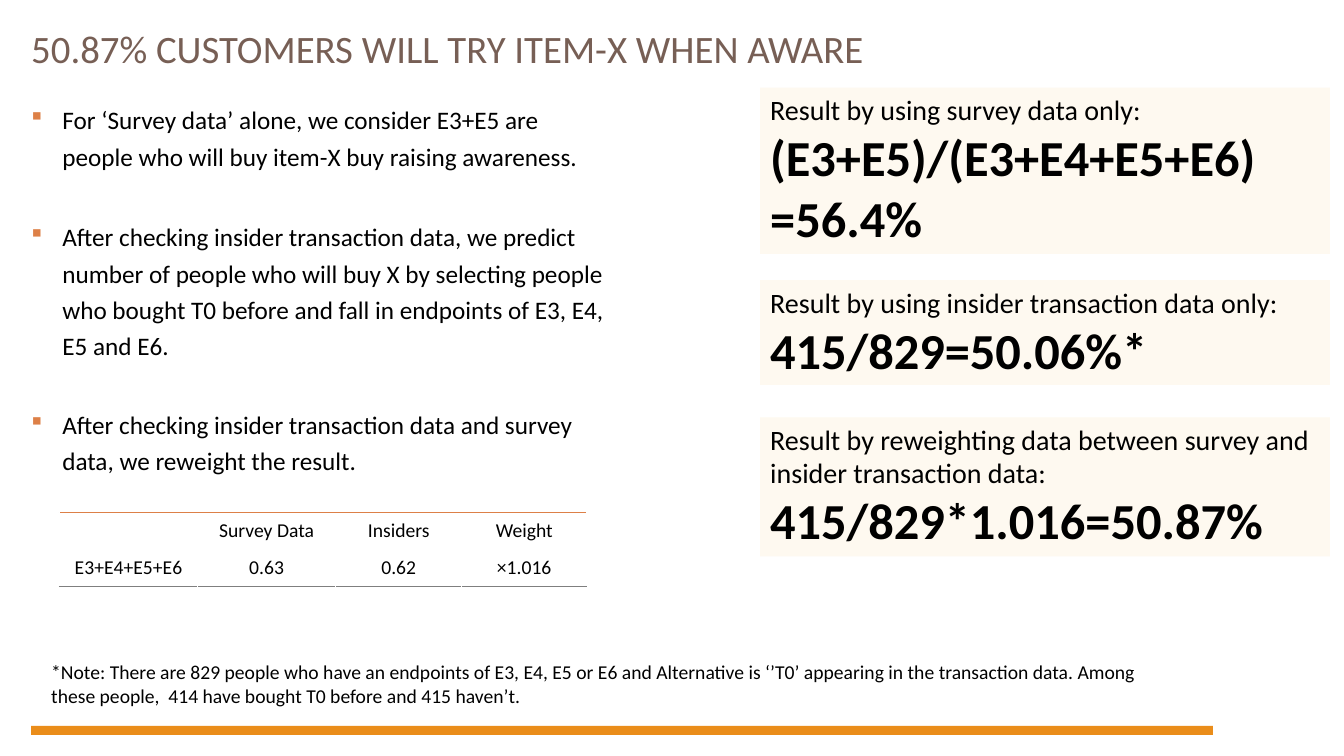
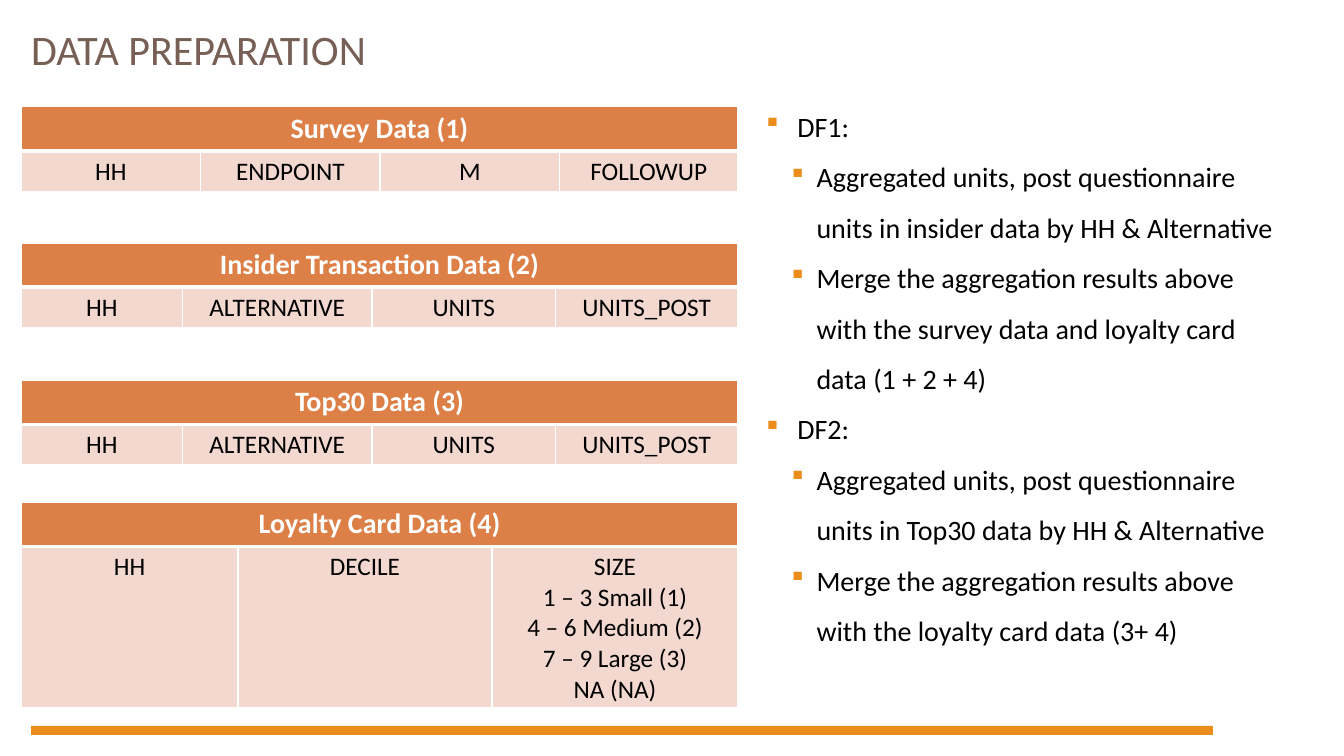
from itertools import accumulate

from lxml.etree import SubElement
from pptx import Presentation
from pptx.dml.color import RGBColor
from pptx.enum.shapes import MSO_SHAPE
from pptx.enum.text import MSO_ANCHOR, MSO_AUTO_SIZE, PP_ALIGN
from pptx.oxml.ns import qn
from pptx.util import Emu, Pt

EMU_PER_PX = 9144  # 100 px to the inch
FONT = "Calibri"
COLORS = {
    "text": "000000", "title": "775F55", "band": "EA8D1A", "accent": "DD8047",
    "pale": "F2D8CF", "cream": "FEF3DD", "white": "FFFFFF", "rule": "7F7F7F",
}

# Slide 1: text, top, height
POINTS = [
    ("For ‘Survey data’ alone, we consider E3+E5 are people who will buy item-X "
     "buy raising awareness.", 93, 83),
    ("After checking insider transaction data, we predict number of people who will "
     "buy X by selecting people who bought T0 before and fall in endpoints of "
     "E3, E4, E5 and E6.", 209, 153),
    ("After checking insider transaction data and survey data, we reweight the result.",
     395, 83),
]
# caption, formula lines, top, height
RESULTS = [
    ("Result by using survey data only:",
     ["(E3+E5)/(E3+E4+E5+E6)", "=56.4%"], 87, 165),
    ("Result by using insider transaction data only:", ["415/829=50.06%*"], 278, 104),
    ("Result by reweighting data between survey and insider transaction data:",
     ["415/829*1.016=50.87%"], 414, 138),
]
WEIGHT_HEADINGS = ["Survey Data", "Insiders", "Weight"]
WEIGHT_VALUES = ["E3+E4+E5+E6", "0.63", "0.62", "×1.016"]
WEIGHT_COLS = [137, 137, 125, 124]
WEIGHT_MARGIN = 7
NOTE = ("*Note: There are 829 people who have an endpoints of E3, E4, E5 or E6 and "
        "Alternative is ‘’T0’ appearing in the transaction data. Among these people,  "
        "414 have bought T0 before and 415 haven’t.")

# Slide 2: heading, fields (lines of each), column widths, top, field row height
TRANSACTION_FIELDS = [["HH"], ["ALTERNATIVE"], ["UNITS"], ["UNITS_POST"]]
TRANSACTION_COLS = [160, 188, 182, 181]
DATA_SETS = [
    ("Survey Data (1)", [["HH"], ["ENDPOINT"], ["M"], ["FOLLOWUP"]],
     [178, 178, 178, 177], 106, 40),
    ("Insider Transaction Data (2)", TRANSACTION_FIELDS, TRANSACTION_COLS, 241, 40),
    ("Top30 Data (3)", TRANSACTION_FIELDS, TRANSACTION_COLS, 377, 40),
    ("Loyalty Card Data (4)",
     [["HH"], ["DECILE"],
      ["SIZE", "1 – 3 Small (1)", "4 – 6 Medium (2)", "7 – 9 Large (3)", "NA (NA)"]],
     [215, 252, 244], 498, 160),
]
HEADING_H = 43
# level, text
STEPS = [
    (0, "DF1:"),
    (1, "Aggregated units, post questionnaire units in insider data by HH & Alternative"),
    (1, "Merge the aggregation results above with the survey data and loyalty card "
        "data (1 + 2 + 4)"),
    (0, "DF2:"),
    (1, "Aggregated units, post questionnaire units in Top30 data by HH & Alternative"),
    (1, "Merge the aggregation results above with the loyalty card data (3+ 4)"),
]
BULLET_INDENTS = [(31, -31), (50, -25)]  # margin and first line, by level


def px(n):
    return Emu(int(n * EMU_PER_PX))


def rgb(name):
    return RGBColor.from_string(COLORS[name])


def fill_shape(shape, color):
    shape.shadow.inherit = False
    shape.fill.solid()
    shape.fill.fore_color.rgb = rgb(color)
    shape.line.fill.background()


def add_run(p, text, size, color="text", bold=False):
    r = p.add_run()
    r.text = text
    r.font.name, r.font.size, r.font.bold = FONT, Pt(size), bold
    r.font.color.rgb = rgb(color)


def next_paragraph(tf, first):
    return tf.paragraphs[0] if first else tf.add_paragraph()


def add_box(s, *box):
    tf = s.shapes.add_textbox(*map(px, box)).text_frame
    tf.word_wrap = True
    return tf


def set_bullet(p, color, spacing, level=0):
    """Give the paragraph a small square, which is § in Wingdings."""
    p.level = level
    p.line_spacing = spacing
    pPr = p._p.get_or_add_pPr()
    margin, indent = BULLET_INDENTS[level]
    pPr.set("marL", str(px(margin)))
    pPr.set("indent", str(px(indent)))
    clr = SubElement(pPr, qn("a:buClr"))
    SubElement(clr, qn("a:srgbClr"), val=COLORS[color])
    SubElement(pPr, qn("a:buFont"), typeface="Wingdings", charset="2")
    SubElement(pPr, qn("a:buChar"), char="§")


def set_centre_tabs(p, stops):
    tabs = SubElement(p._p.get_or_add_pPr(), qn("a:tabLst"))
    for stop in stops:
        SubElement(tabs, qn("a:tab"), pos=str(px(stop)), algn="ctr")


def set_borders(cell, **sides):
    """Give sides as L, R, T or B = (color, points), in that schema order."""
    tcPr = cell._tc.get_or_add_tcPr()
    for i, (side, (color, points)) in enumerate(sides.items()):
        ln = tcPr.makeelement(qn(f"a:ln{side}"), {"w": str(Pt(points))})
        tcPr.insert(i, ln)
        fill = SubElement(ln, qn("a:solidFill"))
        SubElement(fill, qn("a:srgbClr"), val=COLORS[color])


def add_grid(s, left, top, cols, rows):
    table = s.shapes.add_table(len(rows), len(cols), px(left), px(top),
                               px(sum(cols)), px(sum(rows))).table
    table.horz_banding = False
    for col, width in zip(table.columns, cols):
        col.width = px(width)
    for row, height in zip(table.rows, rows):
        row.height = px(height)
    return table


def fill_cell(cell, lines, size, color="text", bold=False, fill=None):
    if fill:
        cell.fill.solid()
        cell.fill.fore_color.rgb = rgb(fill)
    else:
        cell.fill.background()
    for i, line in enumerate(lines):
        p = next_paragraph(cell.text_frame, i == 0)
        p.alignment = PP_ALIGN.CENTER
        add_run(p, line, size, color, bold)


def add_titled_slide(prs, title, size):
    s = prs.slides.add_slide(prs.slide_layouts[5])
    shape = s.shapes.title
    shape.left, shape.top, shape.width, shape.height = map(px, (21, 9, 873, 78))
    tf = shape.text_frame
    tf.auto_size = MSO_AUTO_SIZE.NONE
    tf.vertical_anchor = MSO_ANCHOR.MIDDLE
    tf.paragraphs[0].alignment = PP_ALIGN.LEFT
    add_run(tf.paragraphs[0], title, size, "title")
    return s


def put_band_on_layout(s):
    """Draw the bottom band once, on the layout that the slides share."""
    band = s.shapes.add_shape(MSO_SHAPE.RECTANGLE, *map(px, (31, 720, 1172, 9)))
    fill_shape(band, "band")
    s.slide_layout.shapes.element.append(band.element)


def add_result(s, caption, formula, top, height):
    box = s.shapes.add_shape(MSO_SHAPE.RECTANGLE, *map(px, (754, top, 565, height)))
    fill_shape(box, "cream")
    clr = box.element.spPr.find(qn("a:solidFill")).find(qn("a:srgbClr"))
    SubElement(clr, qn("a:alpha"), val="44000")
    tf = box.text_frame
    tf.word_wrap = True
    tf.vertical_anchor = MSO_ANCHOR.TOP
    for i, line in enumerate([caption, *formula]):
        p = next_paragraph(tf, i == 0)
        p.alignment = PP_ALIGN.LEFT
        add_run(p, line, 36 if i else 20, bold=i > 0)


def add_weights(s):
    table = add_grid(s, 59, 508, WEIGHT_COLS, [37, 37])
    for cell in table.iter_cells():
        cell.vertical_anchor = MSO_ANCHOR.MIDDLE
        cell.margin_left = cell.margin_right = px(WEIGHT_MARGIN)
        cell.margin_top = cell.margin_bottom = px(3)
    for j, text in enumerate(WEIGHT_VALUES):
        set_borders(table.cell(0, j), T=("accent", 0.75), B=("white", 0))
        set_borders(table.cell(1, j), T=("white", 0), B=("rule", 0.75))
        fill_cell(table.cell(1, j), [text], 14)
    header = table.cell(0, 0)
    header.merge(table.cell(0, len(WEIGHT_COLS) - 1))
    header.fill.background()
    p = header.text_frame.paragraphs[0]
    p.alignment = PP_ALIGN.LEFT
    centres = [right - width / 2 - WEIGHT_MARGIN
               for right, width in zip(accumulate(WEIGHT_COLS), WEIGHT_COLS)]
    set_centre_tabs(p, centres[1:])
    add_run(p, "".join("\t" + heading for heading in WEIGHT_HEADINGS), 14)


def add_data_set(s, heading, fields, cols, top, field_h):
    table = add_grid(s, 21, top, cols, [HEADING_H, field_h])
    thin, thick = ("white", 1), ("white", 3)
    for j, lines in enumerate(fields):
        field = table.cell(1, j)
        set_borders(table.cell(0, j), L=thin, R=thin, T=thin, B=thick)
        set_borders(field, L=thin, R=thin, T=thick, B=thin)
        field.margin_bottom = px(2)
        fill_cell(field, lines, 18, fill="pale")
    table.cell(0, 0).merge(table.cell(0, len(cols) - 1))
    fill_cell(table.cell(0, 0), [heading], 20, "white", True, "accent")


def build_results(prs):
    s = add_titled_slide(prs, "50.87% CUSTOMERS WILL TRY ITEM-X WHEN AWARE", 27.7)
    put_band_on_layout(s)
    for text, top, height in POINTS:
        p = add_box(s, 21, top, 598, height).paragraphs[0]
        set_bullet(p, "accent", 1.2)
        add_run(p, text, 18)
    for result in RESULTS:
        add_result(s, *result)
    add_weights(s)
    add_run(add_box(s, 41, 650, 1136, 57).paragraphs[0], NOTE, 14)


def build_preparation(prs):
    s = add_titled_slide(prs, "DATA PREPARATION", 30)
    for data_set in DATA_SETS:
        add_data_set(s, *data_set)
    tf = add_box(s, 750, 87, 531, 565)
    for i, (level, text) in enumerate(STEPS):
        p = next_paragraph(tf, i == 0)
        set_bullet(p, "band", 1.5, level)
        add_run(p, text, 20)


def main():
    prs = Presentation()
    prs.slide_width, prs.slide_height = px(1333), px(750)
    build_results(prs)
    build_preparation(prs)
    prs.save("out.pptx")


if __name__ == "__main__":
    main()
